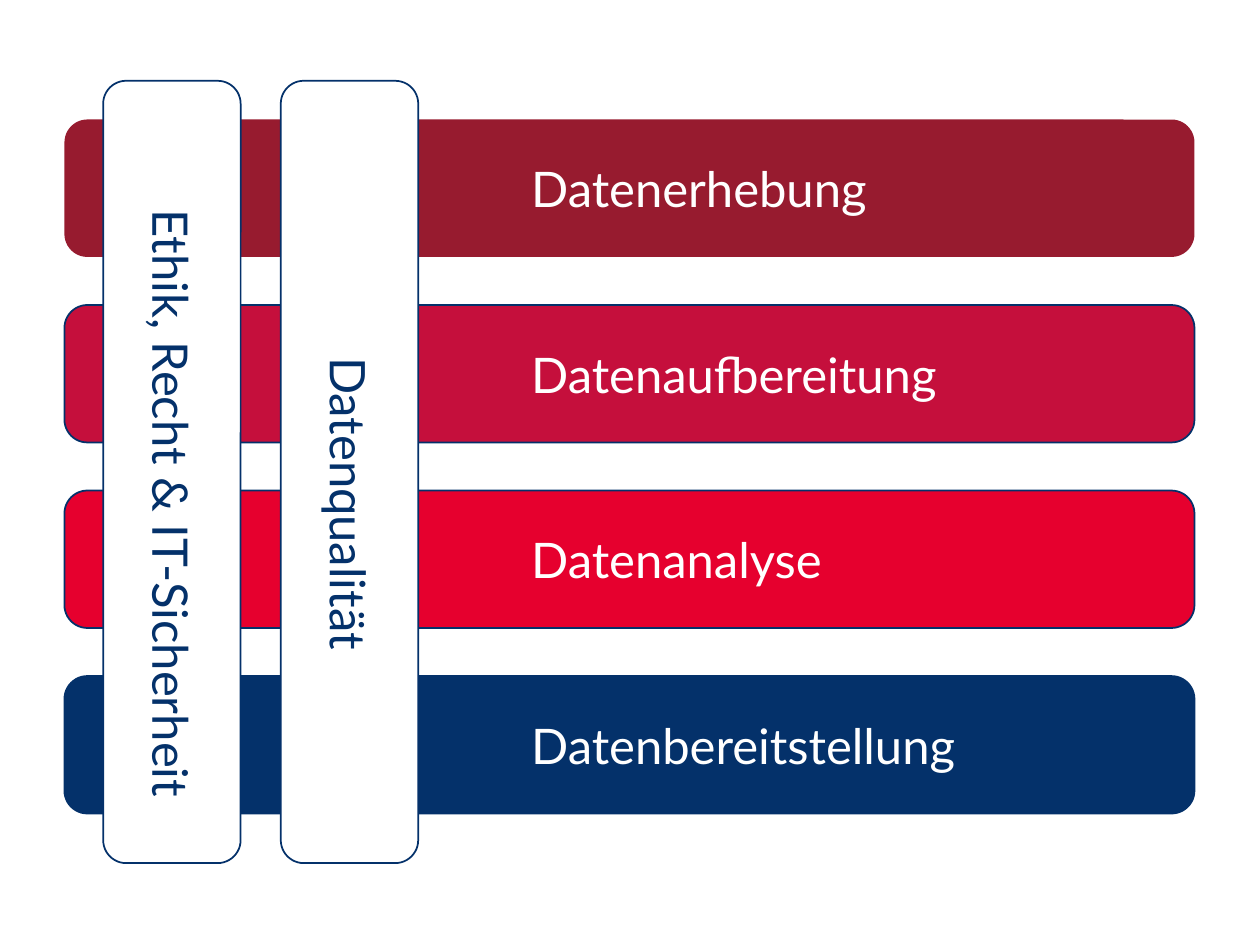
import pptx
import pptx.dml.color
import pptx.enum.shapes
import pptx.enum.text
import pptx.util

Cm = pptx.util.Cm
Pt = pptx.util.Pt
RGBColor = pptx.dml.color.RGBColor

NAVY = RGBColor(0x04, 0x31, 0x6A)
WINE = RGBColor(0x97, 0x1B, 0x2F)
CRIMSON = RGBColor(0xC5, 0x0F, 0x3C)
RED = RGBColor(0xE6, 0x00, 0x2E)
WHITE = RGBColor(0xFF, 0xFF, 0xFF)

BAR_THICKNESS = 2.77
STAGES = [
    ("Datenerhebung", WINE, None),
    ("Datenaufbereitung", CRIMSON, NAVY),
    ("Datenanalyse", RED, NAVY),
    ("Datenbereitstellung", NAVY, NAVY),
]
PILLARS = ["Ethik, Recht & IT-Sicherheit", "Datenqualität"]


def add_bar(slide, left, top, width, fill, line):
    """Add a rounded bar of the common thickness; lengths in cm."""
    shape = slide.shapes.add_shape(
        pptx.enum.shapes.MSO_SHAPE.ROUNDED_RECTANGLE,
        Cm(left), Cm(top), Cm(width), Cm(BAR_THICKNESS))
    shape.shadow.inherit = False
    shape.fill.solid()
    shape.fill.fore_color.rgb = fill
    if line is None:
        shape.line.fill.background()
    else:
        shape.line.color.rgb = line
        shape.line.width = Pt(1)
    return shape


def write_label(shape, text, color, alignment):
    """Write one vertically centred line of text and return its paragraph."""
    frame = shape.text_frame
    frame.word_wrap = True
    frame.vertical_anchor = pptx.enum.text.MSO_ANCHOR.MIDDLE
    paragraph = frame.paragraphs[0]
    paragraph.alignment = alignment
    run = paragraph.add_run()
    run.text = text
    run.font.name = "Lato"
    run.font.size = Pt(28)
    run.font.color.rgb = color
    return paragraph


def add_stage_bars(slide, left, top, width, pitch):
    """Stack the coloured stage bars downwards from the given corner."""
    for index, (_, fill, line) in enumerate(STAGES):
        add_bar(slide, left, top + index * pitch, width, fill, line)


def add_stage_labels(slide, left, top, width, pitch):
    """Write the stage names, each centred on the height of its bar."""
    height = 1.45
    inset = (BAR_THICKNESS - height) / 2
    for index, (name, _, _) in enumerate(STAGES):
        label = slide.shapes.add_textbox(
            Cm(left), Cm(top + index * pitch + inset), Cm(width), Cm(height))
        write_label(label, name, WHITE, pptx.enum.text.PP_ALIGN.LEFT)
        label.text_frame.auto_size = pptx.enum.text.MSO_AUTO_SIZE.SHAPE_TO_FIT_TEXT


def add_pillars(slide, left, top, height, pitch):
    """Place the upright pillars side by side, with text reading downwards."""
    for index, name in enumerate(PILLARS):
        center = left + index * pitch + BAR_THICKNESS / 2
        pillar = add_bar(slide, center - height / 2,
                         top + (height - BAR_THICKNESS) / 2, height, WHITE, NAVY)
        pillar.rotation = 90
        paragraph = write_label(pillar, name, NAVY,
                                pptx.enum.text.PP_ALIGN.CENTER)
        properties = paragraph._p.get_or_add_pPr()
        properties.set("marL", "0")
        properties.set("indent", str(Cm(1.27)))


def main():
    """Build the slide and save it."""
    presentation = pptx.Presentation()
    presentation.slide_width = Cm(25.4)
    presentation.slide_height = Cm(19.05)
    slide = presentation.slides.add_slide(presentation.slide_layouts[6])
    left, top, width, pitch = 1.3, 2.41, 22.78, 3.74
    add_stage_bars(slide, left, top, width, pitch)
    add_pillars(slide, left=2.08, top=1.63, height=15.77, pitch=3.58)
    add_stage_labels(slide, left + 9.16, top, 11.25, pitch)
    presentation.save("out.pptx")


main()
